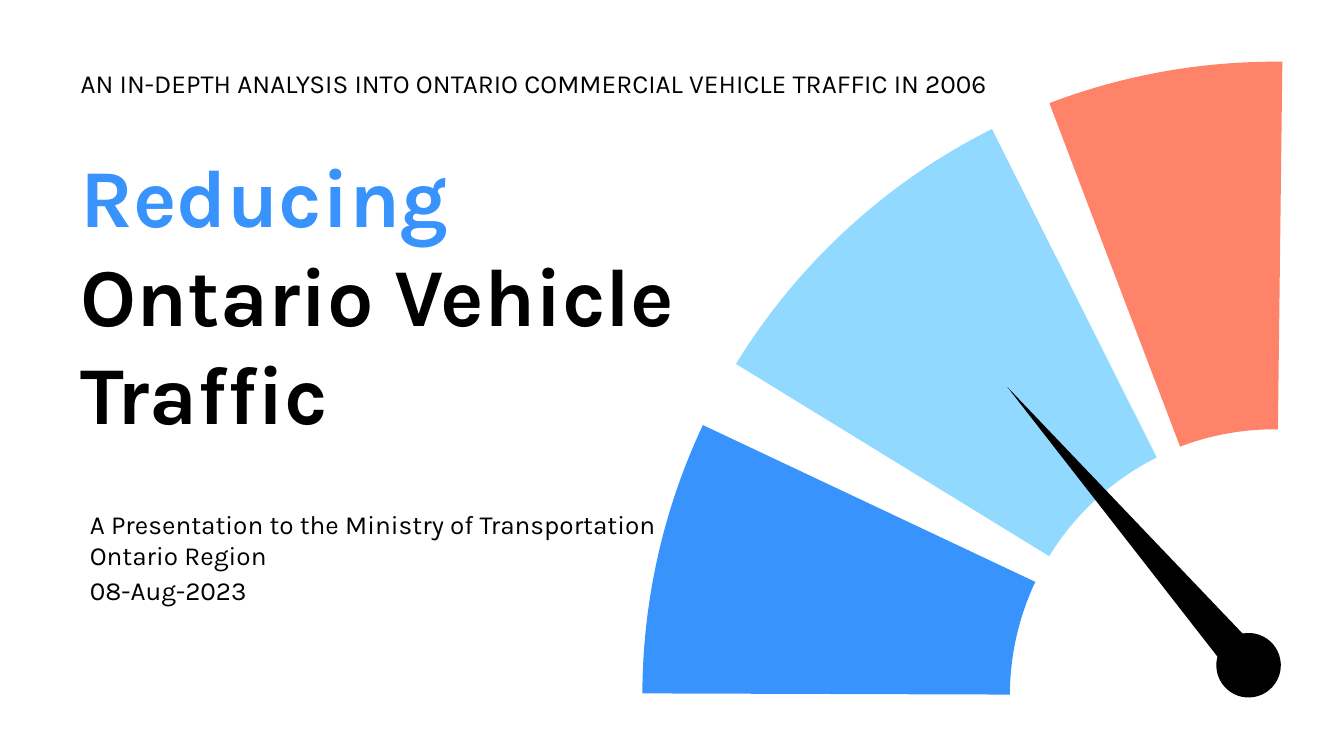
from pptx import Presentation
from pptx.dml.color import RGBColor
from pptx.enum import shapes, text
from pptx.util import Inches, Pt

BLACK, BLUE, SKY, CORAL = "000000", "3893FD", "91D9FF", "FF8368"
FONT = "Karla"
WIDTH = 10
HEIGHT = WIDTH * 9 / 16

# Each paragraph is a list of (words, colour) runs.
TITLE = [[("Reducing", BLUE), (" Ontario Vehicle Traffic", BLACK)]]
TOPIC = [[("AN IN-DEPTH ANALYSIS INTO ONTARIO COMMERCIAL VEHICLE TRAFFIC IN 2006", BLACK)]]
EVENT = [
    [("A Presentation to the Ministry of Transportation Ontario Region", BLACK)],
    [("08-Aug-2023", BLACK)],
]

# Gauge bands: left edge, start and end in degrees, thickness, colour
BANDS = [
    (4.77, 249.17, 270.69, 0.29, CORAL),
    (4.78, 211.54, 243.36, 0.29, SKY),
    (4.78, 180.18, 205.25, 0.29, BLUE),
]
TOP, DIAL = 0.46, 9.43
NEEDLE = (8.27, 2.54, 0.28, 2.8)
HUB = (9.05, 4.71, 0.48, 0.48)


def color(code):
    return RGBColor.from_string(code)


def place(shape, box):
    shape.left, shape.top, shape.width, shape.height = map(Inches, box)


def draw(parent, kind, box, fill, turn=0):
    shape = parent.add_shape(kind, *map(Inches, box))
    shape.shadow.inherit = False
    shape.fill.solid()
    shape.fill.fore_color.rgb = color(fill)
    shape.line.fill.background()
    shape.rotation = turn
    return shape


def write(shape, box, paras, size, bold=False, anchor=text.MSO_ANCHOR.TOP, **spacing):
    place(shape, box)
    frame = shape.text_frame
    form = dict.fromkeys(
        ("margin_left", "margin_top", "margin_right", "margin_bottom"), Inches(0.1))
    form.update(word_wrap=True, auto_size=text.MSO_AUTO_SIZE.NONE,
                vertical_anchor=anchor)
    for name, value in form.items():
        setattr(frame, name, value)
    for i, runs in enumerate(paras):
        para = frame.add_paragraph() if i else frame.paragraphs[0]
        look = {"alignment": text.PP_ALIGN.LEFT, "space_before": Pt(0), **spacing}
        for name, value in look.items():
            setattr(para, name, value)
        for words, code in runs:
            run = para.add_run()
            run.text = words
            for name, value in {"name": FONT, "size": Pt(size), "bold": bold}.items():
                setattr(run.font, name, value)
            run.font.color.rgb = color(code)


def main():
    deck = Presentation()
    deck.slide_width, deck.slide_height = Inches(WIDTH), Inches(HEIGHT)
    slide = deck.slides.add_slide(deck.slide_layouts[0])
    title, topic = slide.placeholders
    kinds = shapes.MSO_SHAPE

    for left, start, end, ring, fill in BANDS:
        band = draw(slide.shapes, kinds.BLOCK_ARC, (left, TOP, DIAL, DIAL), fill)
        # Adjustments count 60000 to the degree, scaled by 100000.
        for i, value in enumerate((start * 0.6, end * 0.6, ring)):
            band.adjustments[i] = value

    write(title, (0.5, 1.46, 5.23, 1.45), TITLE, 44, bold=True,
          anchor=text.MSO_ANCHOR.MIDDLE)
    write(topic, (0.5, 0.37, 8.01, 0.47), TOPIC, 14,
          line_spacing=1.15, space_after=Pt(16))
    # Keep the words in front of the bands.
    for holder in (title, topic):
        slide.shapes.element.append(holder.element)

    pointer = slide.shapes.add_group_shape().shapes
    draw(pointer, kinds.ISOSCELES_TRIANGLE, NEEDLE, BLACK, 319.2)
    draw(pointer, kinds.OVAL, HUB, BLACK, 42.4)

    event = slide.shapes.add_textbox(0, 0, 0, 0)
    write(event, (0.57, 3.68, 4.43, 0.85), EVENT, 14, space_after=Pt(2))
    deck.save("out.pptx")


if __name__ == "__main__":
    main()
